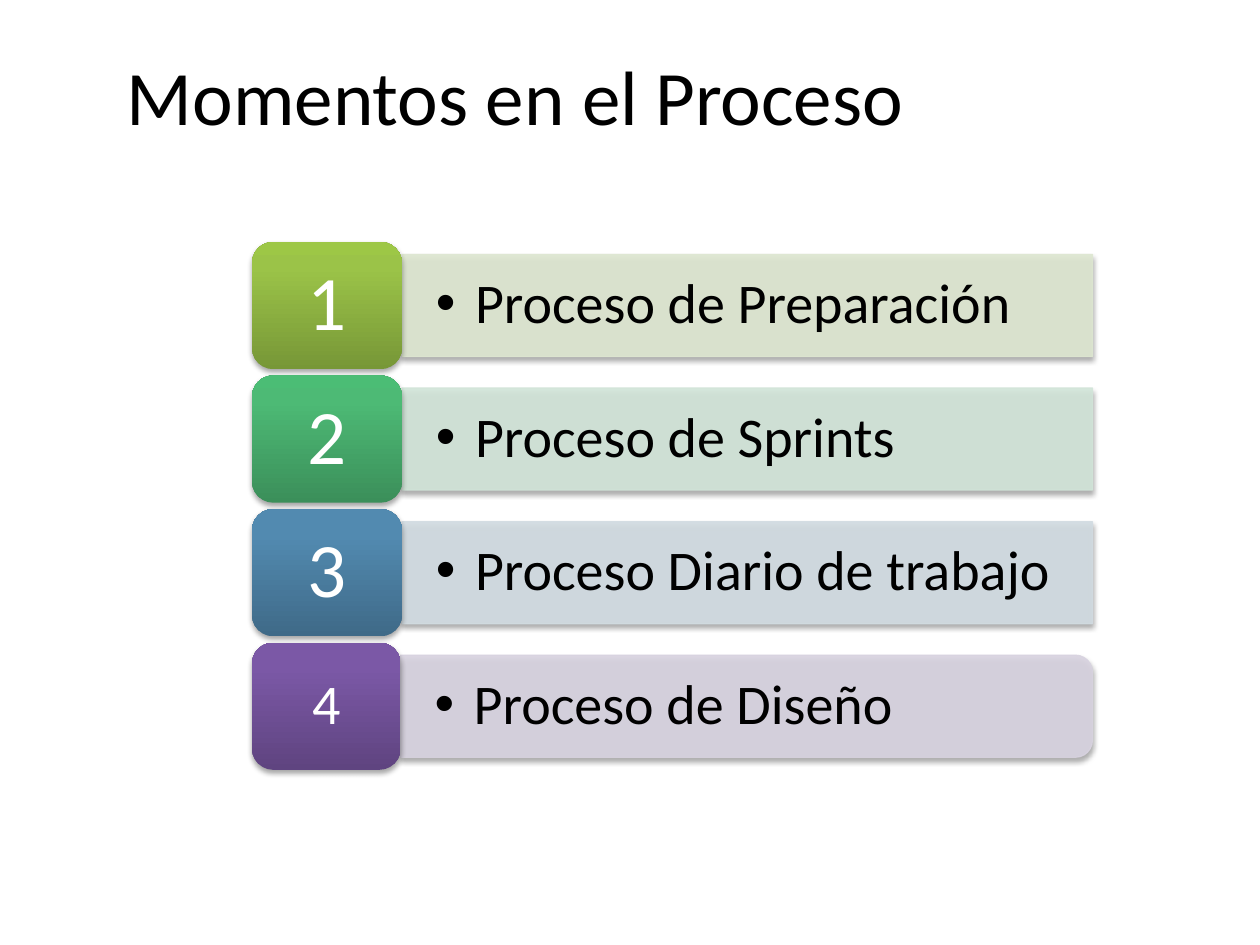
from copy import deepcopy
from dataclasses import dataclass

from lxml.etree import SubElement
from pptx import Presentation
from pptx.dml.color import RGBColor
from pptx.enum.shapes import MSO_SHAPE
from pptx.enum.text import MSO_ANCHOR, PP_ALIGN
from pptx.oxml.ns import qn
from pptx.util import Inches, Pt


@dataclass(frozen=True)
class Theme:
    font: str = "Calibri"
    ink: str = "000000"
    light: str = "FFFFFF"
    title_size: int = 44
    number_size: int = 44
    label_size: int = 32
    # Bar tint, then badge gradient from bottom to top
    rows: tuple = (
        ("DEE7D1", ("779737", "9BC348", "9DC746")),
        ("D2E5D9", ("3B8F5A", "4DBA75", "4BBD75")),
        ("D2DCE2", ("3F6A88", "528AB0", "518BB3")),
        ("D8D3E0", ("5F4480", "7B58A6", "7C57A8")),
    )
    stops: tuple = (0, 0.8, 1)


class SlideBuilder:
    def __init__(self, page, theme):
        self.page = page
        self.theme = theme

    def fill_text(self, shape, text, size, color, align=PP_ALIGN.LEFT, spacing=1.0,
                  inset=(0.1, 0.05)):
        frame = shape.text_frame
        across, down = (Inches(value) for value in inset)
        frame_format = {
            "word_wrap": True, "vertical_anchor": MSO_ANCHOR.MIDDLE,
            "margin_left": across, "margin_right": across,
            "margin_top": down, "margin_bottom": down,
        }
        para = frame.paragraphs[0]
        span = para.add_run()
        span.text = text
        span.font.color.rgb = RGBColor.from_string(color)
        formats = (
            (frame, frame_format),
            (para, {"alignment": align, "line_spacing": spacing}),
            (span.font, {"name": self.theme.font, "size": Pt(size)}),
        )
        for target, values in formats:
            for name, value in values.items():
                setattr(target, name, value)
        return para

    def text(self, left, top, width, height, text, size, **style):
        box = self.page.shapes.add_textbox(
            Inches(left), Inches(top), Inches(width), Inches(height))
        return self.fill_text(box, text, size, self.theme.ink, **style)

    def bullet(self, para, indent):
        para.level = 1
        properties = para._p.get_or_add_pPr()
        properties.set("marL", str(Inches(indent)))
        properties.set("indent", str(-Inches(indent)))
        SubElement(properties, qn("a:buFont"), typeface="Arial")
        SubElement(properties, qn("a:buChar"), char="•")

    def shadow(self, shape):
        shape.shadow.inherit = False
        effects = shape._element.spPr.find(qn("a:effectLst"))
        outer = SubElement(effects, qn("a:outerShdw"), blurRad=str(Pt(3.1)),
                           dist=str(Pt(1.8)), dir="5400000", rotWithShape="0")
        color = SubElement(outer, qn("a:srgbClr"), val=self.theme.ink)
        SubElement(color, qn("a:alpha"), val="35000")

    def bar(self, left, top, width, height, color, kind):
        # A quarter turn puts the rounded corners of the last bar on the right
        shape = self.page.shapes.add_shape(
            kind, Inches(left + (width - height) / 2), Inches(top - (width - height) / 2),
            Inches(height), Inches(width))
        shape.rotation = 90
        shape.fill.solid()
        shape.line.width = Pt(0.75)
        for target in (shape.fill.fore_color, shape.line.color):
            target.rgb = RGBColor.from_string(color)
        for node in shape._element.spPr.iter(qn("a:srgbClr")):
            SubElement(node, qn("a:alpha"), val="90000")
        self.shadow(shape)

    def badge(self, left, top, width, height, colors, number, size):
        shape = self.page.shapes.add_shape(
            MSO_SHAPE.ROUNDED_RECTANGLE,
            Inches(left), Inches(top), Inches(width), Inches(height))
        shape.fill.gradient()
        shape.fill.gradient_angle = 90
        stop_list = next(shape._element.spPr.iter(qn("a:gsLst")))
        stop_list.append(deepcopy(stop_list[-1]))
        for stop, color, position in zip(shape.fill.gradient_stops, colors, self.theme.stops):
            stop.color.rgb = RGBColor.from_string(color)
            stop.position = position
        shape.line.fill.background()
        self.shadow(shape)
        self.fill_text(shape, number, size, self.theme.light, PP_ALIGN.CENTER, 0.9)


def main():
    deck = Presentation()
    deck.slide_width, deck.slide_height = Inches(10), Inches(7.5)
    theme = Theme()
    slide = SlideBuilder(deck.slides.add_slide(deck.slide_layouts[6]), theme)

    # Title
    slide.text(0.91, 0.13, 8.83, 1.25, "Momentos en el Proceso", theme.title_size)

    # Numbered steps
    labels = ("Proceso de Preparación", "Proceso de Sprints",
              "Proceso Diario de trabajo", "Proceso de Diseño")
    left, right, first_top, pitch = 2, 8.67, 1.92, 1.06
    badge_height, bar_height = 1.01, 0.81
    for index, (label, (tint, gradient)) in enumerate(zip(labels, theme.rows)):
        last = index == len(labels) - 1
        top = first_top + index * pitch
        badge_width = 1.18 if last else 1.19
        bar_left = left + badge_width
        bar = (bar_left, top + (badge_height - bar_height) / 2, right - bar_left, bar_height)
        kind = MSO_SHAPE.ROUND_2_SAME_RECTANGLE if last else MSO_SHAPE.RECTANGLE
        slide.bar(*bar, tint, kind)
        para = slide.text(*bar, label, theme.label_size, spacing=0.9, inset=(0.27, 0.14))
        slide.bullet(para, 0.31)
        slide.badge(left, top, badge_width, badge_height, gradient, str(index + 1),
                    theme.label_size if last else theme.number_size)

    deck.save("out.pptx")


if __name__ == "__main__":
    main()
